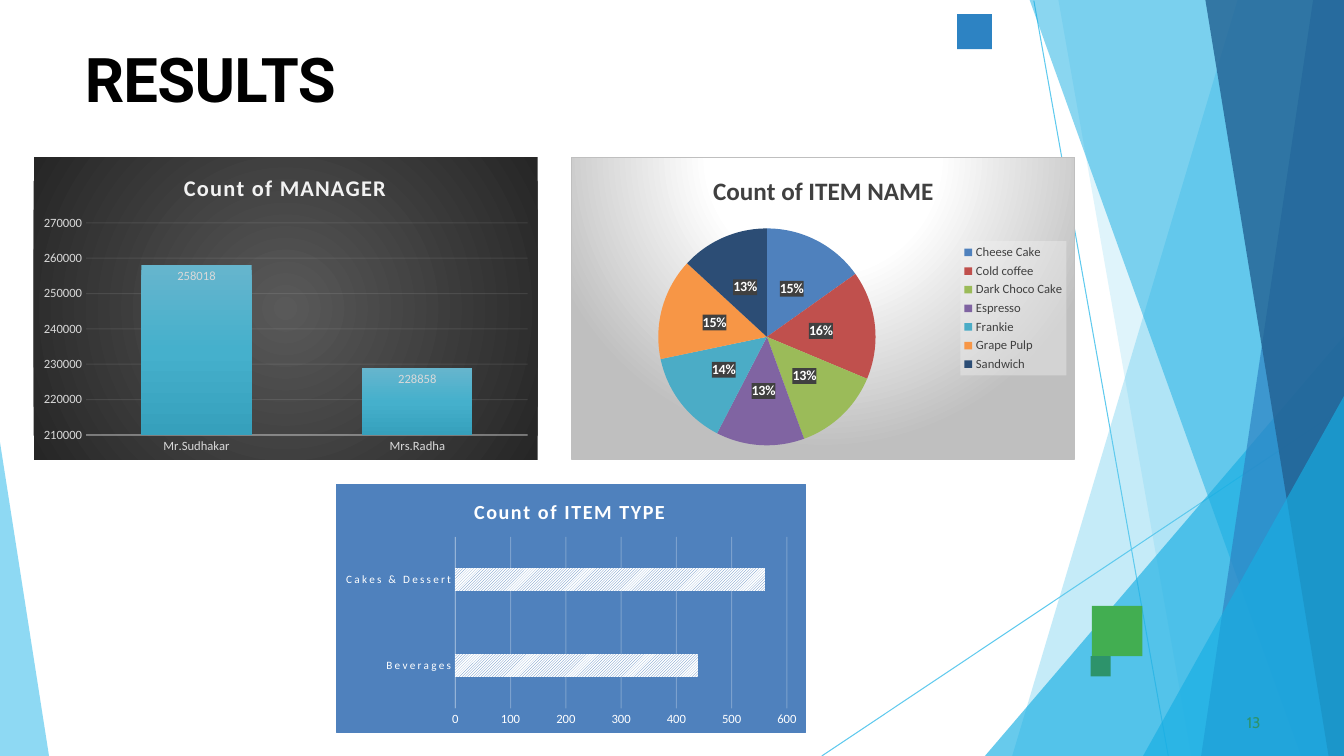
from dataclasses import dataclass

from lxml import etree
from pptx import Presentation
from pptx.chart import data as chart_data
from pptx.dml.color import RGBColor
from pptx.enum import chart as ce
from pptx.enum import dml, shapes
from pptx.oxml import parse_xml
from pptx.oxml.ns import nsdecls, qn
from pptx.util import Pt


@dataclass(frozen=True)
class Theme:
    sky: str = "5FCAEE"
    cyan: str = "17AEE3"
    blue: str = "2D83C3"
    navy: str = "226192"
    green: str = "42AE51"
    teal: str = "2D936B"
    black: str = "000000"
    white: str = "FFFFFF"
    charcoal: str = "404040"
    pale: str = "F2F2F2"
    silver: str = "D9D9D9"
    grey: str = "BFBFBF"
    panel: str = "4F81BD"
    panel_axis: str = "95B3D7"
    slices: tuple = ("4F81BD", "C0504D", "9BBB59", "8064A2", "4BACC6", "F79646", "2C4D75")
    chart_font: str = "Calibri"
    heading_size: float = 44
    number_size: float = 11
    items_size: float = 18
    types_size: float = 14.4
    managers_size: float = 16
    base_size: float = 10
    axis_size: float = 9
    small_size: float = 8


@dataclass(frozen=True)
class Facet:
    points: tuple
    color: str
    alpha: int


@dataclass(frozen=True)
class Tile:
    box: tuple
    color: str


@dataclass(frozen=True)
class Caption:
    text: str
    box: tuple
    inset_top: float
    indent: float
    font: str
    size: float
    color: str
    bold: bool
    spacing: float


@dataclass(frozen=True)
class Panel:
    kind: ce.XL_CHART_TYPE
    box: tuple
    values: dict
    title: str
    title_size: float
    title_color: str
    title_spacing: float
    title_at: tuple
    plot: tuple
    fill: str
    border: str = ""


T = Theme()


def solid(color: str, alpha: int = 100) -> str:
    return f'<a:solidFill><a:srgbClr val="{color}"><a:alpha val="{alpha * 1000}"/></a:srgbClr></a:solidFill>'


def gradient(stops: dict, direction: str) -> str:
    marks = "".join(f'<a:gs pos="{at * 1000}"><a:srgbClr val="{c}"/></a:gs>' for at, c in stops.items())
    return f"<a:gradFill><a:gsLst>{marks}</a:gsLst>{direction}</a:gradFill>"


def radial(left: int, top: int, right: int, bottom: int) -> str:
    return (f'<a:path path="circle"><a:fillToRect l="{left * 1000}" t="{top * 1000}" '
            f'r="{right * 1000}" b="{bottom * 1000}"/></a:path>')


FACETS = [
    Facet(((960, 540), (723, 540), (884, 0), (960, 0)), T.sky, 36),
    Facet(((960, 540), (851, 540), (756, 0), (960, 0)), T.sky, 20),
    Facet(((960, 540), (703.5, 540), (960, 240)), T.cyan, 65),
    Facet(((960, 540), (929.5, 540), (735.5, 0), (960, 0)), T.cyan, 50),
    Facet(((960, 540), (858, 540), (938, 0), (960, 0)), T.blue, 70),
    Facet(((960, 540), (949, 540), (861, 0), (960, 0)), T.navy, 80),
    Facet(((960, 540), (816.5, 540), (960, 283)), T.cyan, 65),
    Facet(((35, 540), (0, 540), (0, 316)), T.sky, 70),
]
RAYS = [(738.5, 0.5, 834.5, 540), (960, 291, 587, 540)]
TILES = [
    Tile((780, 432.7, 36, 36), T.green),
    Tile((683.75, 10, 24.8, 25.2), T.blue),
    Tile((779, 468.7, 14.4, 14.4), T.teal),
]
CAPTIONS = [
    Caption("RESULTS", (34, 20.5, 772.5, 62), 8.64, 26.64, "Roboto", T.heading_size, T.black, True, -0.5),
    Caption("13", (890, 508.5, 13.5, 15), 0.72, 0.72, "Cabin", T.number_size, T.teal, False, -0.2),
]
ITEMS = Panel(
    ce.XL_CHART_TYPE.PIE, (408, 112.25, 360, 216),
    {"Cheese Cake": 15, "Cold coffee": 16, "Dark Choco Cake": 13, "Espresso": 13,
     "Frankie": 14, "Grape Pulp": 15, "Sandwich": 13},
    "Count of ITEM NAME", T.items_size, T.charcoal, 0, (98, 8), (62, 50.75, 155.5, 155.5),
    gradient({0: T.white, 39: T.white, 100: T.grey}, radial(50, -80, 50, 180)), T.grey)
TYPES = Panel(
    ce.XL_CHART_TYPE.BAR_CLUSTERED, (240, 345.75, 336, 177.75),
    {"Beverages": 440, "Cakes & Dessert": 560},
    "Count of ITEM TYPE", T.types_size, T.white, 1.2, (96, 7.5), (85, 37.5, 237.5, 123),
    solid(T.panel), T.panel)
MANAGERS = Panel(
    ce.XL_CHART_TYPE.COLUMN_CLUSTERED, (24, 112.25, 360, 216),
    {"Mr.Sudhakar": 258018, "Mrs.Radha": 228858},
    "Count of MANAGER", T.managers_size, T.pale, 1, (104.5, 8.5), (37.5, 47, 315.5, 151.5),
    gradient({0: "595959", 100: "262626"}, radial(50, 50, 50, 50)))


def rgb(color: str) -> RGBColor:
    return RGBColor.from_string(color)


def style(font, size: float, color: str, name: str = T.chart_font, bold: bool = False, spacing: float = 0) -> None:
    font.name, font.size, font.bold = name, Pt(size), bold
    font.color.rgb = rgb(color)
    if spacing:
        font._rPr.set("spc", str(round(spacing * 100)))


def fade(element, alpha: int) -> None:
    for color in element.iter(qn("a:srgbClr")):
        etree.SubElement(color, qn("a:alpha")).set("val", str(alpha * 1000))


def draw_facet(slide, facet: Facet) -> None:
    corners = [(Pt(x), Pt(y)) for x, y in facet.points]
    builder = slide.shapes.build_freeform(*corners[0])
    builder.add_line_segments(corners[1:], close=True)
    finish(builder.convert_to_shape(), facet.color, facet.alpha)


def finish(shape, color: str, alpha: int = 100) -> None:
    shape.shadow.inherit = False
    shape.fill.solid()
    shape.fill.fore_color.rgb = rgb(color)
    shape.line.fill.background()
    if alpha < 100:
        fade(shape._element.spPr, alpha)


def draw_ray(slide, ends: tuple) -> None:
    ray = slide.shapes.add_connector(shapes.MSO_CONNECTOR.STRAIGHT, *map(Pt, ends))
    ray.line.color.rgb = rgb(T.sky)
    ray.line.width = Pt(0.75)
    etree.SubElement(ray._element.spPr, qn("a:effectLst"))


def draw_caption(slide, caption: Caption) -> None:
    frame = slide.shapes.add_textbox(*map(Pt, caption.box)).text_frame
    frame.word_wrap = True
    frame.margin_left = frame.margin_right = frame.margin_bottom = 0
    frame.margin_top = Pt(caption.inset_top)
    line = frame.paragraphs[0]
    line.text = caption.text
    line.space_before = Pt(1)
    style(line.font, caption.size, caption.color, caption.font, caption.bold, caption.spacing)
    line._p.get_or_add_pPr().set("marL", str(Pt(caption.indent)))


def layout(panel: Panel, target: str, place: tuple):
    modes = "".join(f'<c:{axis}Mode val="edge"/>' for axis in "xy")
    sizes = "".join(f'<c:{key} val="{length / whole:.4f}"/>'
                    for key, length, whole in zip("xywh", place, panel.box[2:] * 2))
    return parse_xml(f'<c:layout {nsdecls("c")}><c:manualLayout>{target}{modes}{sizes}</c:manualLayout></c:layout>')


def add_plate(parent, fill: str, border: str = "") -> None:
    edge = solid(border) if border else "<a:noFill/>"
    plate = parse_xml(f'<c:spPr {nsdecls("c", "a")}>{fill}<a:ln w="9525">{edge}</a:ln></c:spPr>')
    parent.find(qn("c:txPr")).addprevious(plate)


def draw_panel(slide, panel: Panel):
    numbers = chart_data.CategoryChartData()
    numbers.categories = panel.values.keys()
    numbers.add_series("Series 1", panel.values.values())
    chart = slide.shapes.add_chart(panel.kind, *map(Pt, panel.box), numbers).chart
    style(chart.font, T.base_size, T.black)
    chart.has_legend = False
    heading = chart.chart_title.text_frame.paragraphs[0]
    heading.text = panel.title
    style(heading.font, panel.title_size, panel.title_color, bold=True, spacing=panel.title_spacing)
    chart.plots[0].vary_by_categories = panel is ITEMS
    space = chart._chartSpace
    for old in space.xpath("c:chart/c:title/c:layout | c:chart/c:plotArea/c:layout"):
        old.getparent().remove(old)
    space.xpath("c:chart/c:title/c:tx")[0].addnext(layout(panel, "", panel.title_at))
    space.xpath("c:chart/c:plotArea")[0].insert(0, layout(panel, '<c:layoutTarget val="inner"/>', panel.plot))
    if space.find(qn("c:roundedCorners")) is None:
        space.find(qn("c:chart")).addprevious(parse_xml(f'<c:roundedCorners {nsdecls("c")} val="0"/>'))
    add_plate(space, panel.fill, panel.border)
    return chart


def style_axes(chart, limits: tuple, text_color: str, category_size: float, category_spacing: float,
               axis_line: tuple, grid_line: tuple) -> None:
    names, scale = chart.category_axis, chart.value_axis
    scale.minimum_scale, scale.maximum_scale, scale.major_unit = limits
    scale.has_major_gridlines = True
    names.major_tick_mark = scale.major_tick_mark = ce.XL_TICK_MARK.NONE
    style(names.tick_labels.font, category_size, text_color, spacing=category_spacing)
    style(scale.tick_labels.font, T.axis_size, text_color)
    scale.format.line.fill.background()
    for holder, (color, width, alpha) in ((names, axis_line), (scale.major_gridlines, grid_line)):
        holder.format.line.color.rgb = rgb(color)
        holder.format.line.width = Pt(width)
        fade(holder.format.line._get_or_add_ln(), alpha)


def draw_items(slide) -> None:
    chart = draw_panel(slide, ITEMS)
    pie = chart.plots[0]
    for index, color in enumerate(T.slices):
        wedge = pie.series[0].points[index].format
        wedge.fill.solid()
        wedge.fill.fore_color.rgb = rgb(color)
        wedge.line.fill.background()
    labels = pie.series[0].data_labels
    labels.show_percentage, labels.show_value = True, False
    labels.number_format, labels.number_format_is_linked = "0%", False
    labels.position = ce.XL_LABEL_POSITION.CENTER
    style(labels.font, T.base_size, T.white, bold=True)
    add_plate(labels._element, solid(T.charcoal, 90))
    chart.has_legend = True
    chart.legend.position = ce.XL_LEGEND_POSITION.RIGHT
    chart.legend.include_in_layout = False
    style(chart.legend.font, T.axis_size, T.charcoal)
    add_plate(chart.legend._element, solid(T.pale, 40))


def draw_types(slide) -> None:
    chart = draw_panel(slide, TYPES)
    bars = chart.plots[0]
    bars.gap_width, bars.overlap = 269, -20
    hatch = bars.series[0].format.fill
    hatch.patterned()
    hatch.pattern = dml.MSO_PATTERN.LIGHT_UPWARD_DIAGONAL
    hatch.fore_color.rgb, hatch.back_color.rgb = rgb(T.panel), rgb(T.white)
    style_axes(chart, (0, 600, 100), T.white, T.small_size, 1.5,
               (T.panel_axis, 0.25, 100), (T.white, 0.75, 25))


def draw_managers(slide) -> None:
    chart = draw_panel(slide, MANAGERS)
    columns = chart.plots[0]
    columns.gap_width, columns.overlap = 100, -24
    shade = gradient({0: "66B5CD", 50: "45B0CC", 100: "36A0BC"}, '<a:lin ang="5400000" scaled="0"/>')
    columns.series[0]._element.get_or_add_spPr().append(
        parse_xml(shade.replace("<a:gradFill>", f'<a:gradFill {nsdecls("a")}>', 1)))
    labels = columns.series[0].data_labels
    labels.show_value = True
    labels.position = ce.XL_LABEL_POSITION.INSIDE_END
    style(labels.font, T.axis_size, T.silver)
    style_axes(chart, (210000, 270000, 10000), T.silver, T.axis_size, 0,
               (T.pale, 1, 54), (T.pale, 0.75, 10))


def main() -> None:
    deck = Presentation()
    deck.slide_width, deck.slide_height = Pt(960), Pt(540)
    slide = deck.slides.add_slide(deck.slide_layouts[6])
    for ray in RAYS:
        draw_ray(slide, ray)
    for facet in FACETS:
        draw_facet(slide, facet)
    for tile in TILES:
        finish(slide.shapes.add_shape(shapes.MSO_SHAPE.RECTANGLE, *map(Pt, tile.box)), tile.color)
    for caption in CAPTIONS:
        draw_caption(slide, caption)
    draw_items(slide)
    draw_types(slide)
    draw_managers(slide)
    deck.save("out.pptx")


if __name__ == "__main__":
    main()
